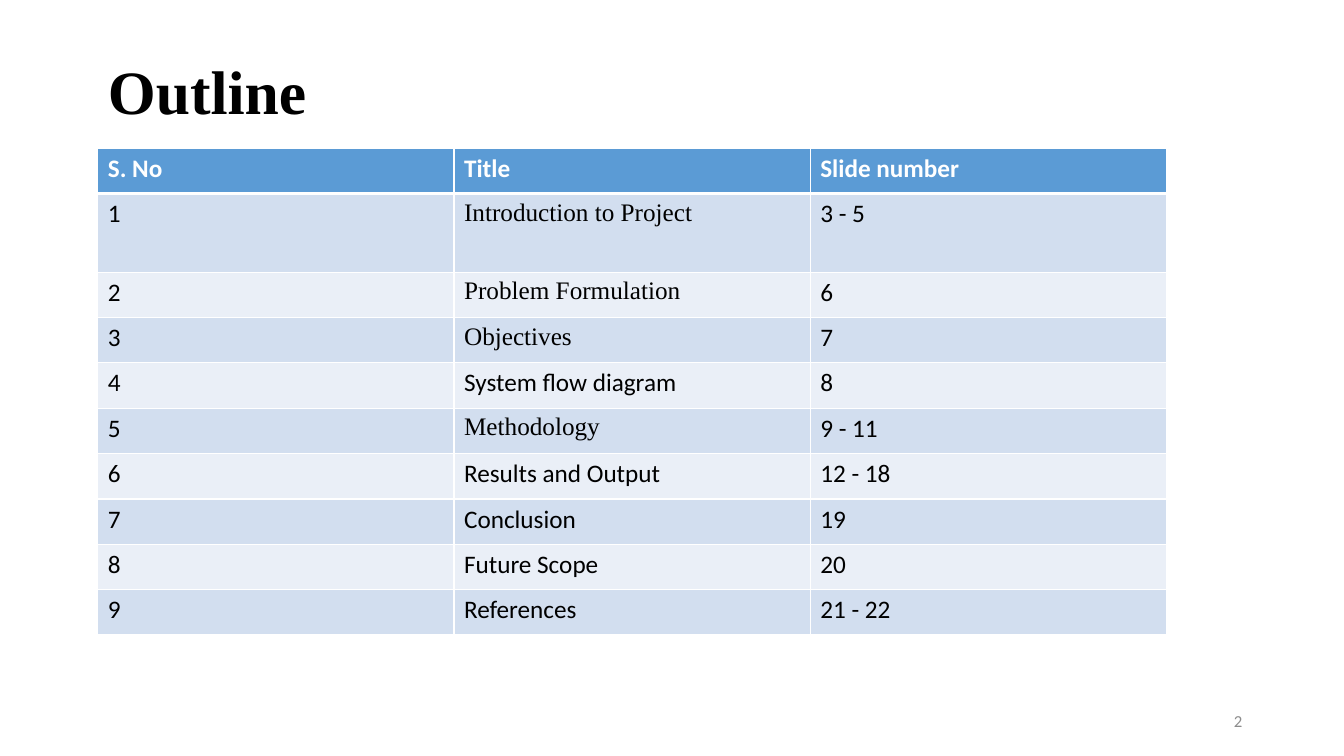
from lxml.etree import SubElement
from pptx import Presentation
from pptx.dml.color import RGBColor
from pptx.enum.text import MSO_ANCHOR as Anchor, MSO_AUTO_SIZE as AutoSize, PP_ALIGN as Align
from pptx.oxml.ns import qn
from pptx.util import Inches, Pt

BLACK = RGBColor(0x00, 0x00, 0x00)
WHITE = RGBColor(0xFF, 0xFF, 0xFF)
GREY = RGBColor(0x8C, 0x8C, 0x8C)
HEADER_BLUE = RGBColor(0x5B, 0x9B, 0xD5)
BANDS = (RGBColor(0xD2, 0xDE, 0xEF), RGBColor(0xEA, 0xEF, 0xF7))
SANS, SERIF = "Calibri", "Times New Roman"

WIDTH, HEIGHT = 13.33, 7.5
LEFT = 0.97
TITLE_BOX = (LEFT, 0.4, 11.5, 1.07)
TABLE_BOX = (LEFT, 1.47, 10.6, 4.83)
NUMBER_BOX = (9.42, 6.95, 3, 0.4)
ROW_HEIGHT, TALL_ROW, TALL_HEIGHT = 0.45, 1, 0.78

HEADINGS = ("S. No", "Title", "Slide number")
# Section, slides, font of the section name
SECTIONS = (
    ("Introduction to Project", "3 - 5", SERIF),
    ("Problem Formulation", "6", SERIF),
    ("Objectives", "7", SERIF),
    ("System flow diagram", "8", SANS),
    ("Methodology", "9 - 11", SERIF),
    ("Results and Output", "12 - 18", SANS),
    ("Conclusion", "19", SANS),
    ("Future Scope", "20", SANS),
    ("References", "21 - 22", SANS),
)


def write(frame, text, color, align=Align.LEFT, **font_values):
    para = frame.paragraphs[0]
    para.alignment = align
    span = para.add_run()
    span.text = text
    for name, value in font_values.items():
        setattr(span.font, name, value)
    span.font.color.rgb = color
    return para


def add_title(page, box):
    title = page.shapes.title
    for name, value in zip(("left", "top", "width", "height"), box):
        setattr(title, name, Inches(value))
    frame = title.text_frame
    frame.auto_size = AutoSize.NONE
    frame.vertical_anchor = Anchor.MIDDLE
    para = write(frame, "Outline", BLACK, name=SERIF, size=Pt(44), bold=True)
    para.line_spacing = 0.9


def add_slide_number(page, box):
    frame = page.shapes.add_textbox(*map(Inches, box)).text_frame
    frame.word_wrap = True
    frame.vertical_anchor = Anchor.MIDDLE
    write(frame, "2", GREY, Align.RIGHT, name=SANS, size=Pt(12))


def set_borders(cell, widths):
    """Draw white borders; widths maps each side to points."""
    properties = cell._tc.get_or_add_tcPr()
    for position, (side, width) in enumerate(widths.items()):
        line = properties.makeelement(qn(f"a:{side}"), {"w": str(Pt(width))})
        fill = SubElement(line, qn("a:solidFill"))
        SubElement(fill, qn("a:srgbClr"), val=str(WHITE))
        properties.insert(position, line)


def add_outline_table(page, box):
    rows = [(HEADINGS, SANS)]
    rows += [((str(number), name, slides), font)
             for number, (name, slides, font) in enumerate(SECTIONS, 1)]
    table = page.shapes.add_table(len(rows), len(HEADINGS), *map(Inches, box)).table
    for column in table.columns:
        column.width = Inches(box[2] / len(HEADINGS))

    for row, (texts, name_font) in enumerate(rows):
        table.rows[row].height = Inches(TALL_HEIGHT if row == TALL_ROW else ROW_HEIGHT)
        header = row == 0
        widths = {"lnL": 1, "lnR": 1, "lnT": 3 if row == 1 else 1, "lnB": 3 if header else 1}
        for column, text in enumerate(texts):
            cell = table.cell(row, column)
            cell.fill.solid()
            cell.fill.fore_color.rgb = HEADER_BLUE if header else BANDS[(row - 1) % 2]
            set_borders(cell, widths)
            write(cell.text_frame, text, WHITE if header else BLACK,
                  name=name_font if column == 1 else SANS, size=Pt(18), bold=header)


def main():
    deck = Presentation()
    deck.slide_width, deck.slide_height = Inches(WIDTH), Inches(HEIGHT)
    page = deck.slides.add_slide(deck.slide_layouts.get_by_name("Title Only"))
    add_title(page, TITLE_BOX)
    add_slide_number(page, NUMBER_BOX)
    add_outline_table(page, TABLE_BOX)
    deck.save("out.pptx")


if __name__ == "__main__":
    main()
